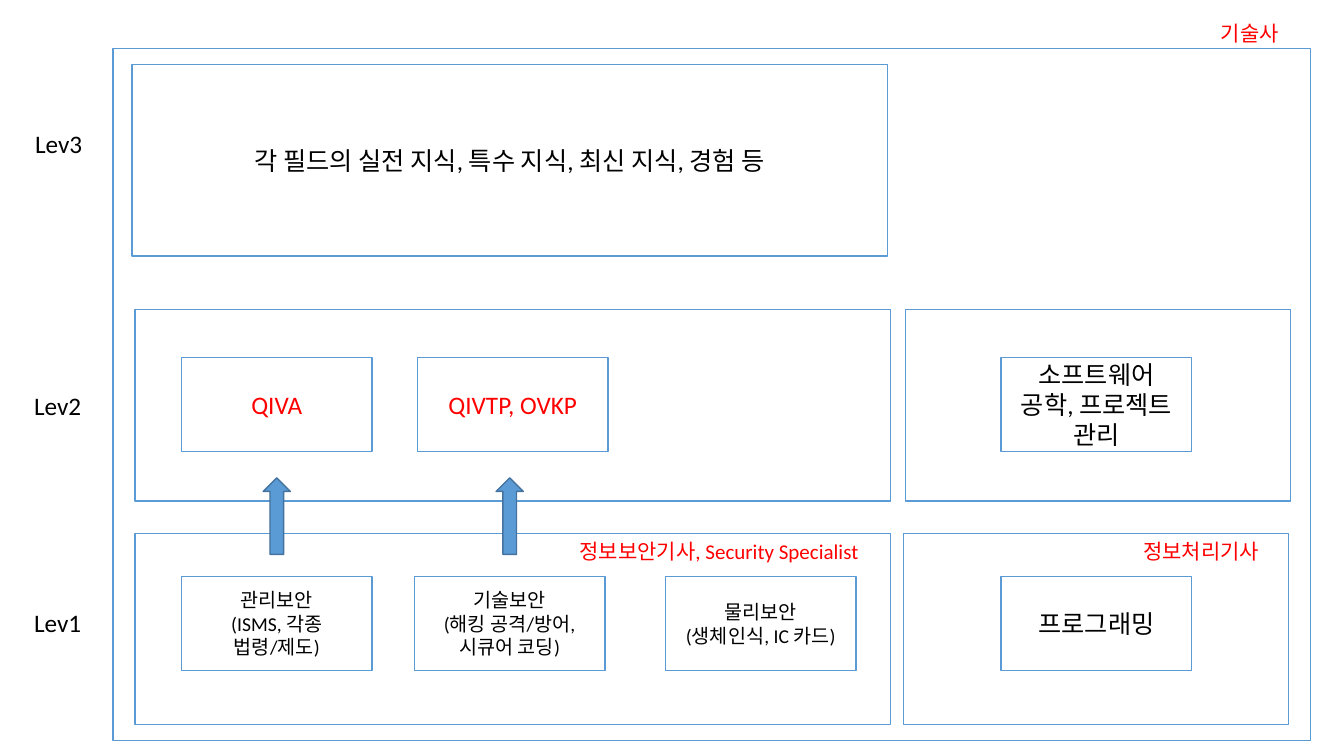
"""Build the slide of security knowledge and certificates on three levels."""
import pptx
import pptx.dml.color
import pptx.enum.shapes
import pptx.enum.text
import pptx.util

Inches = pptx.util.Inches
RGBColor = pptx.dml.color.RGBColor
SHAPES = pptx.enum.shapes.MSO_SHAPE
ALIGN = pptx.enum.text.PP_ALIGN
ANCHOR = pptx.enum.text.MSO_ANCHOR
AUTO_SIZE = pptx.enum.text.MSO_AUTO_SIZE

WHITE = RGBColor(0xFF, 0xFF, 0xFF)
BLACK = RGBColor(0, 0, 0)
RED = RGBColor(0xFF, 0, 0)
BLUE = RGBColor(0x5B, 0x9B, 0xD5)
DARK_BLUE = RGBColor(0x43, 0x73, 0x9E)

LEVEL1_TOP, LEVEL2_TOP = 5.72, 3.55
TOPIC_SIZE = (1.89, 0.93)
SECURITY_SIZE, SOFTWARE_SIZE = (7.49, 1.9), (3.82, 1.9)
ARROW_TOP, ARROW_SIZE = 4.74, (0.27, 0.76)

TOPICS = [
    (1.8, LEVEL1_TOP, ["관리보안", "(ISMS, 각종 법령/제도)"], 14, BLACK),
    (4.11, LEVEL1_TOP, ["기술보안", "(해킹 공격/방어, 시큐어 코딩)"], 14, BLACK),
    (6.6, LEVEL1_TOP, ["물리보안", "(생체인식, IC 카드)"], 14, BLACK),
    (9.93, LEVEL1_TOP, ["프로그래밍"], 18, BLACK),
    (1.8, LEVEL2_TOP, ["QIVA"], 18, RED),
    (4.14, LEVEL2_TOP, ["QIVTP, OVKP"], 18, RED),
    (9.93, LEVEL2_TOP, ["소프트웨어 공학, 프로젝트 관리"], 18, BLACK),
]
FRAMES = [
    (1.34, 5.29, SECURITY_SIZE, []),
    (8.96, 5.29, SOFTWARE_SIZE, []),
    (1.34, 3.07, SECURITY_SIZE, []),
    (8.98, 3.07, SOFTWARE_SIZE, []),
    (1.12, 0.48, (11.88, 6.87), []),
    (1.31, 0.64, SECURITY_SIZE, ["각 필드의 실전 지식, 특수 지식, 최신 지식, 경험 등"]),
]
ARROW_LEFTS = [2.61, 4.92]
LABELS = [
    (0.25, 1.22, (0.86, 0.4), "Lev3", 18, BLACK),
    (0.24, 3.82, (0.86, 0.4), "Lev2", 18, BLACK),
    (0.24, 5.98, (0.86, 0.4), "Lev1", 18, BLACK),
    (5.65, 5.29, (3.17, 0.35), "정보보안기사, Security Specialist", 15, RED),
    (11.24, 5.29, (1.54, 0.35), "정보처리기사", 15, RED),
    (12.01, 0.15, (1.54, 0.35), "기술사", 15, RED),
]
BOX_TEXT = {"word_wrap": True, "vertical_anchor": ANCHOR.MIDDLE}
LARGE_TEXT = {**BOX_TEXT, "margin_left": Inches(0.14), "margin_right": Inches(0.14)}
TOPIC_TEXT = {14: BOX_TEXT, 18: LARGE_TEXT}
LABEL_TEXT = {"word_wrap": True, "auto_size": AUTO_SIZE.SHAPE_TO_FIT_TEXT}


def set_all(target, values):
    for name, value in values.items():
        setattr(target, name, value)


def write(shape, lines, size, color, frame_format, align):
    set_all(shape.text_frame, frame_format)
    shape.text_frame.text = "\n".join(lines)
    for paragraph in shape.text_frame.paragraphs:
        paragraph.alignment = align
        for run in paragraph.runs:
            set_all(run.font, {"name": "Calibri", "size": pptx.util.Pt(size)})
            run.font.color.rgb = color


def add_outline(slide, kind, left, top, size, fill, line):
    shape = slide.shapes.add_shape(kind, *map(Inches, (left, top, *size)))
    shape.shadow.inherit = False
    if fill is None:
        shape.fill.background()
    else:
        shape.fill.solid()
        shape.fill.fore_color.rgb = fill
    shape.line.color.rgb = line
    shape.line.width = pptx.util.Pt(1)
    return shape


def main():
    deck = pptx.Presentation()
    set_all(deck, {"slide_width": Inches(13.33), "slide_height": Inches(7.5)})
    slide = deck.slides.add_slide(deck.slide_layouts[6])

    for left, top, lines, size, color in TOPICS:
        topic = add_outline(slide, SHAPES.RECTANGLE, left, top, TOPIC_SIZE, WHITE, BLUE)
        write(topic, lines, size, color, TOPIC_TEXT[size], ALIGN.CENTER)

    for left, top, extent, lines in FRAMES:
        frame = add_outline(slide, SHAPES.RECTANGLE, left, top, extent, None, BLUE)
        if lines:
            write(frame, lines, 18, BLACK, BOX_TEXT, ALIGN.CENTER)

    for left in ARROW_LEFTS:
        arrow = add_outline(slide, SHAPES.DOWN_ARROW, left, ARROW_TOP, ARROW_SIZE, BLUE, DARK_BLUE)
        arrow.rotation = 180

    for left, top, extent, text, size, color in LABELS:
        label = slide.shapes.add_textbox(*map(Inches, (left, top, *extent)))
        write(label, [text], size, color, LABEL_TEXT, ALIGN.LEFT)

    deck.save("out.pptx")


if __name__ == "__main__":
    main()
